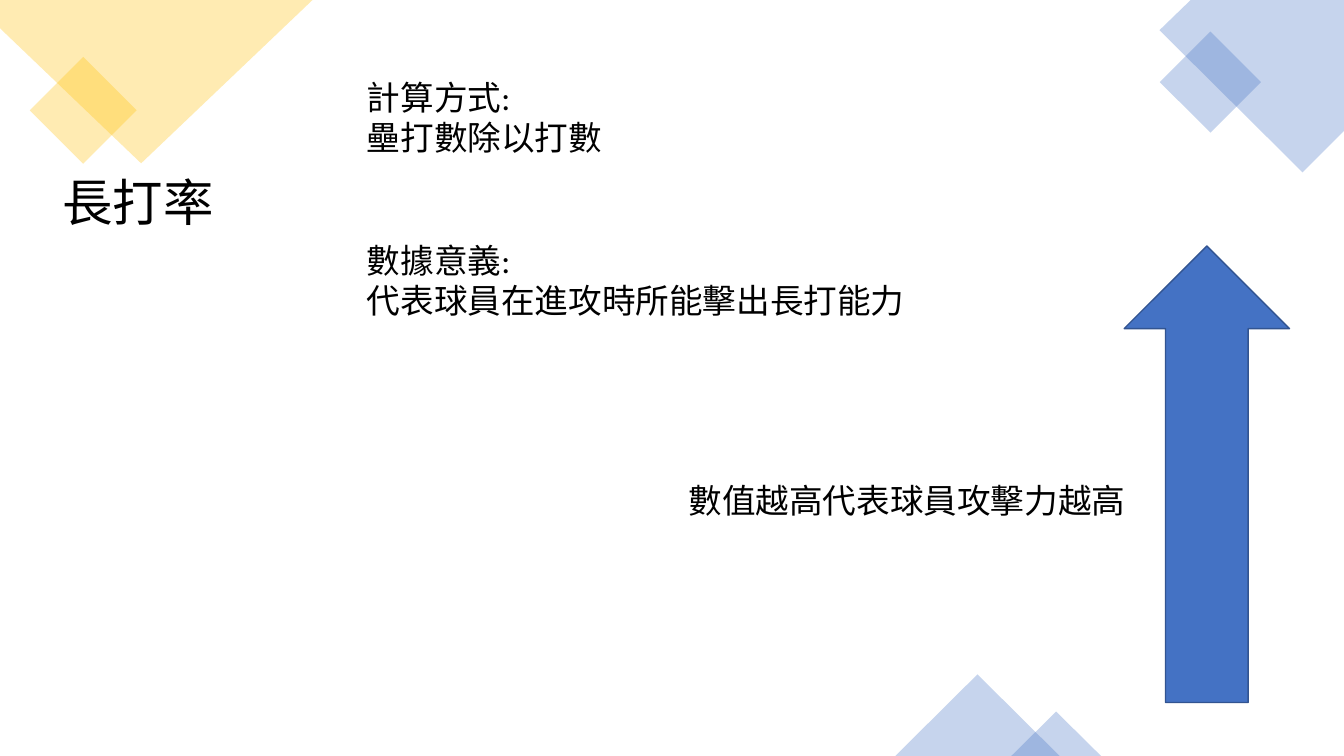
from dataclasses import dataclass

import lxml.etree
import pptx
import pptx.dml.color
import pptx.enum.shapes
import pptx.enum.text
import pptx.oxml.ns
import pptx.util

Inches = pptx.util.Inches
RGBColor = pptx.dml.color.RGBColor
Preset = pptx.enum.shapes.MSO_SHAPE
Anchor = pptx.enum.text.MSO_ANCHOR
qn = pptx.oxml.ns.qn

GOLD = RGBColor(0xFF, 0xC0, 0x00)
BLUE = RGBColor(0x44, 0x72, 0xC4)
DARK_BLUE = RGBColor(0x32, 0x54, 0x91)
BLACK = RGBColor(0, 0, 0)
OPACITY = 30
CJK_FONT = "Noto Sans CJK SC"


@dataclass
class Ornament:
    preset: Preset
    left: float
    top: float
    width: float
    height: float
    color: RGBColor
    rotation: float = 0


@dataclass
class Corner:
    points: list[tuple[float, float]]
    color: RGBColor


@dataclass
class Passage:
    lines: list[str]
    left: float
    top: float
    width: float
    height: float
    size: int = 24
    font: str = "Calibri"
    anchor: Anchor = Anchor.TOP
    line_spacing: float = 1.0


DECORATIONS = [
    Ornament(Preset.RECTANGLE, 0.45, 0.72, 0.75, 0.75, GOLD, 45),
    Corner([(0, 0), (3.1, 0), (1.4, 1.62), (0, 0.28)], GOLD),
    Corner([(11.81, 0), (13.33, 0), (13.33, 1.3), (12.92, 1.71), (11.5, 0.3)], BLUE),
    Ornament(Preset.RECTANGLE, 11.65, 0.46, 0.71, 0.71, BLUE, 45),
    Ornament(Preset.ISOSCELES_TRIANGLE, 8.88, 6.69, 1.63, 0.81, BLUE),
    Ornament(Preset.ISOSCELES_TRIANGLE, 10.03, 7.06, 0.89, 0.44, BLUE),
]

PASSAGES = [
    Passage(["長打率"], 0.52, -0.43, 2.45, 4.94, 36, CJK_FONT, Anchor.MIDDLE, 0.9),
    Passage(["計算方式:", "壘打數除以打數"], 3.54, 0.71, 9.79, 0.91),
    Passage(["數據意義:", "代表球員在進攻時所能擊出長打能力"], 3.54, 2.33, 10.14, 0.91),
    Passage(["數值越高代表球員攻擊力越高"], 6.73, 4.71, 4.71, 0.5),
]


def paint_translucent(shape, color: RGBColor) -> None:
    shape.shadow.inherit = False
    shape.line.fill.background()
    shape.fill.solid()
    shape.fill.fore_color.rgb = color
    tint = shape.fill._xPr.find(qn("a:solidFill"))[0]
    lxml.etree.SubElement(tint, qn("a:alpha")).set("val", str(OPACITY * 1000))


def draw_ornament(slide, ornament: Ornament) -> None:
    shape = slide.shapes.add_shape(
        ornament.preset, Inches(ornament.left), Inches(ornament.top),
        Inches(ornament.width), Inches(ornament.height))
    shape.rotation = ornament.rotation
    paint_translucent(shape, ornament.color)


def draw_corner(slide, corner: Corner) -> None:
    start, *others = [(Inches(x), Inches(y)) for x, y in corner.points]
    builder = slide.shapes.build_freeform(*start)
    builder.add_line_segments(others, close=True)
    paint_translucent(builder.convert_to_shape(), corner.color)


def draw_passage(slide, passage: Passage) -> None:
    box = slide.shapes.add_textbox(
        Inches(passage.left), Inches(passage.top),
        Inches(passage.width), Inches(passage.height))
    frame = box.text_frame
    frame.word_wrap = True
    frame.vertical_anchor = passage.anchor
    frame.text = "\n".join(passage.lines)
    for paragraph in frame.paragraphs:
        paragraph.line_spacing = passage.line_spacing
        for run in paragraph.runs:
            run.font.size = pptx.util.Pt(passage.size)
            run.font.name = passage.font
            run.font.color.rgb = BLACK
            east_asian = lxml.etree.SubElement(run.font._element, qn("a:ea"))
            east_asian.set("typeface", CJK_FONT)


def draw_rising_arrow(slide) -> None:
    arrow = slide.shapes.add_shape(
        Preset.UP_ARROW, Inches(11.15), Inches(2.44), Inches(1.64), Inches(4.53))
    arrow.shadow.inherit = False
    arrow.fill.solid()
    arrow.fill.fore_color.rgb = BLUE
    arrow.line.color.rgb = DARK_BLUE
    arrow.line.width = pptx.util.Pt(1)


def main() -> None:
    presentation = pptx.Presentation()
    presentation.slide_width = Inches(13.33)
    presentation.slide_height = Inches(7.5)
    slide = presentation.slides.add_slide(presentation.slide_layouts[6])

    # Corner and edge decorations
    for decoration in DECORATIONS:
        if isinstance(decoration, Corner):
            draw_corner(slide, decoration)
        else:
            draw_ornament(slide, decoration)

    # Arrow for rising value, then title and explanations
    draw_rising_arrow(slide)
    for passage in PASSAGES:
        draw_passage(slide, passage)

    presentation.save("out.pptx")


if __name__ == "__main__":
    main()
